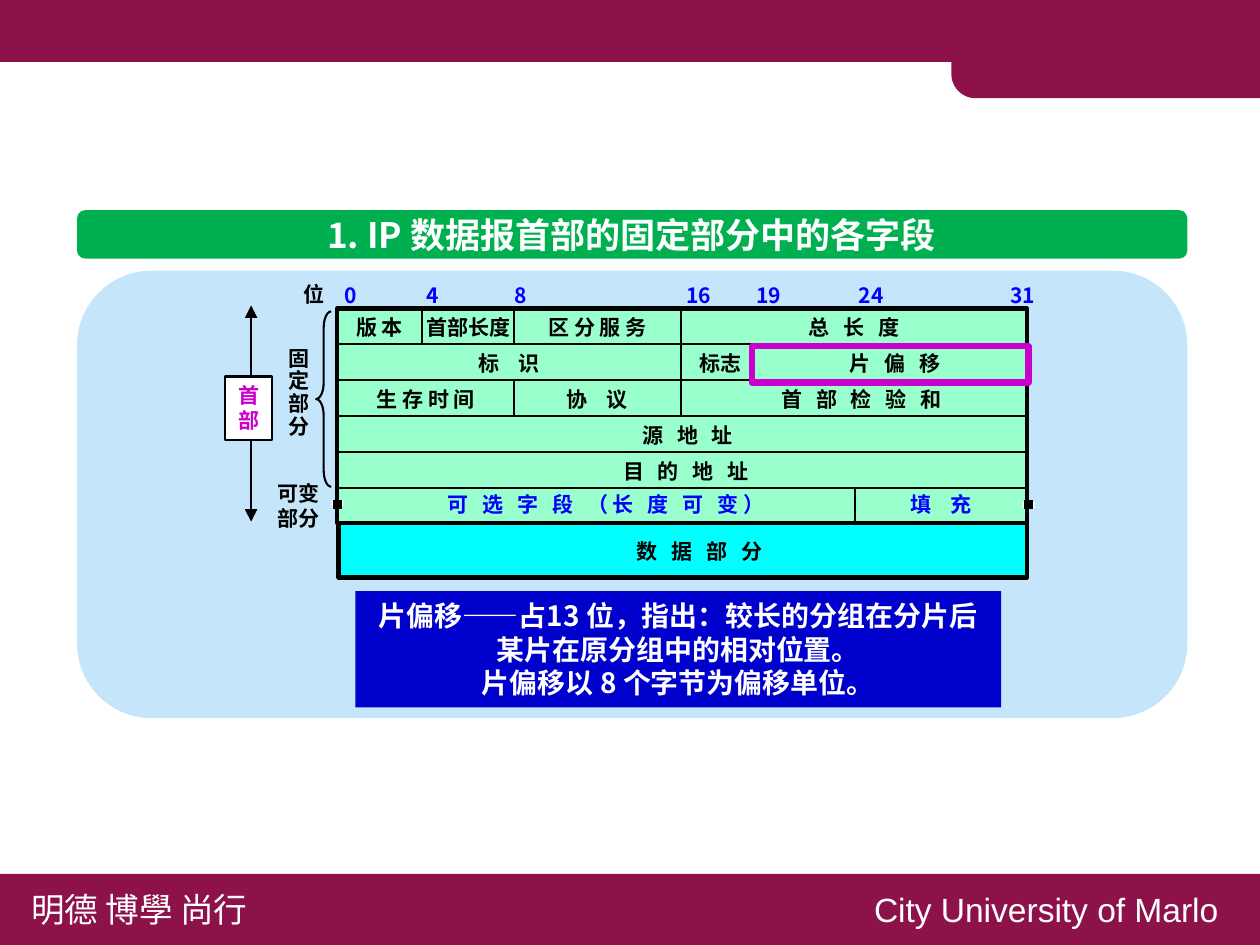
import math
from lxml import etree
from pptx import Presentation, util as u
from pptx.dml.color import RGBColor
from pptx.enum import shapes, text
from pptx.oxml.ns import qn

WINE = RGBColor(0x8D, 0x12, 0x4A)
GREEN = RGBColor(0x00, 0xB0, 0x50)
SKY = RGBColor(0xC5, 0xE5, 0xFB)
MINT = RGBColor(0x99, 0xFF, 0xCC)
CYAN = RGBColor(0x00, 0xFF, 0xFF)
NAVY = RGBColor(0x00, 0x00, 0xCC)
BLUE = RGBColor(0x00, 0x00, 0xFF)
MAGENTA = RGBColor(0xCC, 0x00, 0xCC)
BLACK = RGBColor(0, 0, 0)
WHITE = RGBColor(0xFF, 0xFF, 0xFF)

CJK = "Noto Sans CJK SC"
TITLE = "1. IP 数据报首部的固定部分中的各字段"
FOOTERS = [("明德 博學 尚行", CJK, 0.11, 1.68),
           ("City University of Marlo", "Arial", 5.68, 2.62)]
NOTE = ["片偏移——占13 位，指出：较长的分组在分片后",
        "某片在原分组中的相对位置。",
        "片偏移以 8 个字节为偏移单位。"]
# bit number, centre
BITS = [("0", 2.32), ("4", 2.86), ("8", 3.44), ("16", 4.62),
        ("19", 5.08), ("24", 5.76), ("31", 6.76)]
# row, left, right, name, letter spacing in points, colour
FIELDS = [
    (0, 2.23, 2.79, "版 本", 0, BLACK),
    (0, 2.79, 3.4, "首部长度", 0, BLACK),
    (0, 3.4, 4.5, "区 分 服 务", 0, BLACK),
    (0, 4.5, 6.79, "总 长 度", 2.2, BLACK),
    (1, 2.23, 4.5, "标 识", 3.4, BLACK),
    (1, 4.54, 4.99, "标志", 0, BLACK),
    (1, 5.05, 6.79, "片 偏 移", 2.2, BLACK),
    (2, 2.23, 3.4, "生 存 时 间", 0, BLACK),
    (2, 3.4, 4.5, "协 议", 3.4, BLACK),
    (2, 4.6, 6.79, "首 部 检 验 和", 2.2, BLACK),
    (3, 2.3, 6.79, "源 地 址", 2.2, BLACK),
    (4, 2.28, 6.79, "目 的 地 址", 2.2, BLACK),
    (5, 2.36, 5.65, "可 选 字 段 （长 度 可 变）", 2.2, BLUE),
    (5, 5.65, 6.79, "填 充", 3.4, BLUE),
]
# x, first row, row after the last
DIVIDERS = [(2.79, 0, 1), (3.4, 0, 1), (3.4, 2, 3), (4.5, 0, 3),
            (4.97, 1, 2), (5.65, 5, 6)]
TABLE_LEFT, TABLE_RIGHT, TABLE_TOP, TABLE_BOTTOM = 2.23, 6.79, 2.04, 3.46
ROW_HEIGHT = 0.238
BREAKS = [(2.19, 3.31), (6.76, 3.32)]

presentation = Presentation()
presentation.slide_width = u.Inches(8.33)
presentation.slide_height = u.Inches(6.25)
slide = presentation.slides.add_slide(presentation.slide_layouts[5])


def row_top(row):
    return min(TABLE_TOP + row * ROW_HEIGHT, TABLE_BOTTOM)


def paint(shape, fill=None, line=None, width=1):
    shape.shadow.inherit = False
    if fill is None:
        shape.fill.background()
    else:
        shape.fill.solid()
        shape.fill.fore_color.rgb = fill
    if line is None:
        shape.line.fill.background()
    else:
        shape.line.color.rgb = line
        shape.line.width = u.Pt(width)
    return shape


def add_box(kind, left, top, width, height, fill=None, line=None, line_width=1):
    box = slide.shapes.add_shape(kind, *map(u.Inches, (left, top, width, height)))
    return paint(box, fill, line, line_width)


def add_line(x1, y1, x2, y2, width=1):
    line = slide.shapes.add_connector(
        shapes.MSO_CONNECTOR.STRAIGHT, *map(u.Inches, (x1, y1, x2, y2)))
    line.line.color.rgb = BLACK
    line.line.width = u.Pt(width)
    etree.SubElement(line.element.spPr, qn("a:effectLst"))
    return line


def write(shape, lines, size=10, color=BLACK, bold=True, font=CJK, center=True,
          inset=(0.08, 0.04), pitch=1.2, spacing=0):
    frame = shape.text_frame
    settings = {"word_wrap": False, "auto_size": text.MSO_AUTO_SIZE.NONE,
                "vertical_anchor": text.MSO_ANCHOR.TOP,
                "margin_left": u.Inches(inset[0]), "margin_right": u.Inches(inset[0]),
                "margin_top": u.Inches(inset[1]), "margin_bottom": u.Inches(inset[1])}
    for name, value in settings.items():
        setattr(frame, name, value)
    frame.text = "\n".join(lines)
    for paragraph in frame.paragraphs:
        paragraph.alignment = text.PP_ALIGN.CENTER if center else text.PP_ALIGN.LEFT
        paragraph.line_spacing = u.Pt(round(size * pitch, 1))
        for run in paragraph.runs:
            for name, value in {"size": u.Pt(size), "bold": bold, "name": font}.items():
                setattr(run.font, name, value)
            run.font.color.rgb = color
            properties = run.font._element if hasattr(run.font, "_element") else run._r.get_or_add_rPr()
            etree.SubElement(properties, qn("a:ea")).set("typeface", font)
            if spacing:
                properties.set("spc", str(round(spacing * 100)))


def add_text(left, top, width, height, lines, **style):
    box = slide.shapes.add_textbox(*map(u.Inches, (left, top, width, height)))
    write(box, lines, **style)


def add_corner_tab(left, top, right, bottom, radius):
    """Draw the tab under the top band with a rounded lower left corner."""
    arc = [(left + radius * (1 - math.sin(a)), bottom - radius * (1 - math.cos(a)))
           for a in (math.radians(step * 6) for step in range(16))]
    points = [(u.Inches(x), u.Inches(y))
              for x, y in [(left, top), (right, top), (right, bottom)] + arc]
    builder = slide.shapes.build_freeform(*points[0], scale=1.0)
    builder.add_line_segments(points[1:], close=True)
    paint(builder.convert_to_shape(), WINE)


RECTANGLE = shapes.MSO_SHAPE.RECTANGLE
ROUNDED = shapes.MSO_SHAPE.ROUNDED_RECTANGLE

# Bands and title
add_box(RECTANGLE, 0, 0, 8.33, 0.41, WINE)
add_corner_tab(6.29, 0.02, 8.33, 0.65, 0.16)
add_box(RECTANGLE, 0, 5.78, 8.33, 0.47, WINE)
for words, font, left, width in FOOTERS:
    add_text(left, 5.83, width, 0.37, [words], size=16, color=WHITE, bold=False,
             font=font, center=False, inset=(0.1, 0.05))
title_bar = add_box(ROUNDED, 0.51, 1.39, 7.34, 0.32, GREEN)
title = slide.shapes.title
title.left, title.top, title.width, title.height = map(u.Inches, (2, 1.36, 4.35, 0.38))
write(title, [TITLE], size=16.7, color=WHITE, inset=(0.1, 0.05))
title_bar.element.addnext(title.element)
add_box(ROUNDED, 0.51, 1.79, 7.34, 2.96, SKY)

# Datagram grid
add_box(RECTANGLE, TABLE_LEFT, TABLE_TOP, TABLE_RIGHT - TABLE_LEFT,
        TABLE_BOTTOM - TABLE_TOP, MINT, BLACK, 2)
add_box(RECTANGLE, 2.24, TABLE_BOTTOM, 4.55, 0.36, CYAN, BLACK, 2.25)
for row in range(1, 6):
    add_line(TABLE_LEFT, row_top(row), TABLE_RIGHT, row_top(row))
for x, first, last in DIVIDERS:
    add_line(x, row_top(first), x, row_top(last))
for number, middle in BITS:
    add_text(middle - 0.17, 1.83, 0.34, 0.25, [number], color=BLUE)
for row, left, right, name, spacing, color in FIELDS:
    top = 3.21 if row == 5 else row_top(row)
    add_text(left, top, right - left, 0.25, [name], color=color, spacing=spacing)
add_text(3.78, 3.52, 1.69, 0.25, ["数 据 部 分"], spacing=2.2)
for left, top in BREAKS:
    add_box(RECTANGLE, left, top, 0.08, 0.04, WHITE)
    for y in (3.32, 3.35):
        add_line(left + 0.01, y, left + 0.07, y, 2)

# Labels at the left
add_text(1.92, 1.82, 0.31, 0.25, ["位"])
add_text(1.82, 2.26, 0.31, 0.69, list("固定部分"), pitch=1.08)
add_text(1.75, 3.14, 0.45, 0.42, ["可变", "部分"])
brace = add_box(shapes.MSO_SHAPE.LEFT_BRACE, 2.09, 2.06, 0.1, 1.16, None, BLACK)
brace.adjustments[0] = 1.08
span = add_line(1.66, 2.02, 1.66, 3.45)
outline = span.line._get_or_add_ln()
for end in ("a:headEnd", "a:tailEnd"):
    etree.SubElement(outline, qn(end)).set("type", "triangle")
header = add_box(RECTANGLE, 1.49, 2.49, 0.31, 0.42, WHITE, BLACK)
write(header, list("首部"), color=MAGENTA)

# Fragment offset
note = add_box(RECTANGLE, 2.35, 3.91, 4.27, 0.77, NAVY)
write(note, NOTE, size=13.3, color=WHITE, inset=(0.1, 0.05))
add_box(RECTANGLE, 4.97, 2.29, 1.83, 0.24, None, MAGENTA, 3)

presentation.save("out.pptx")
